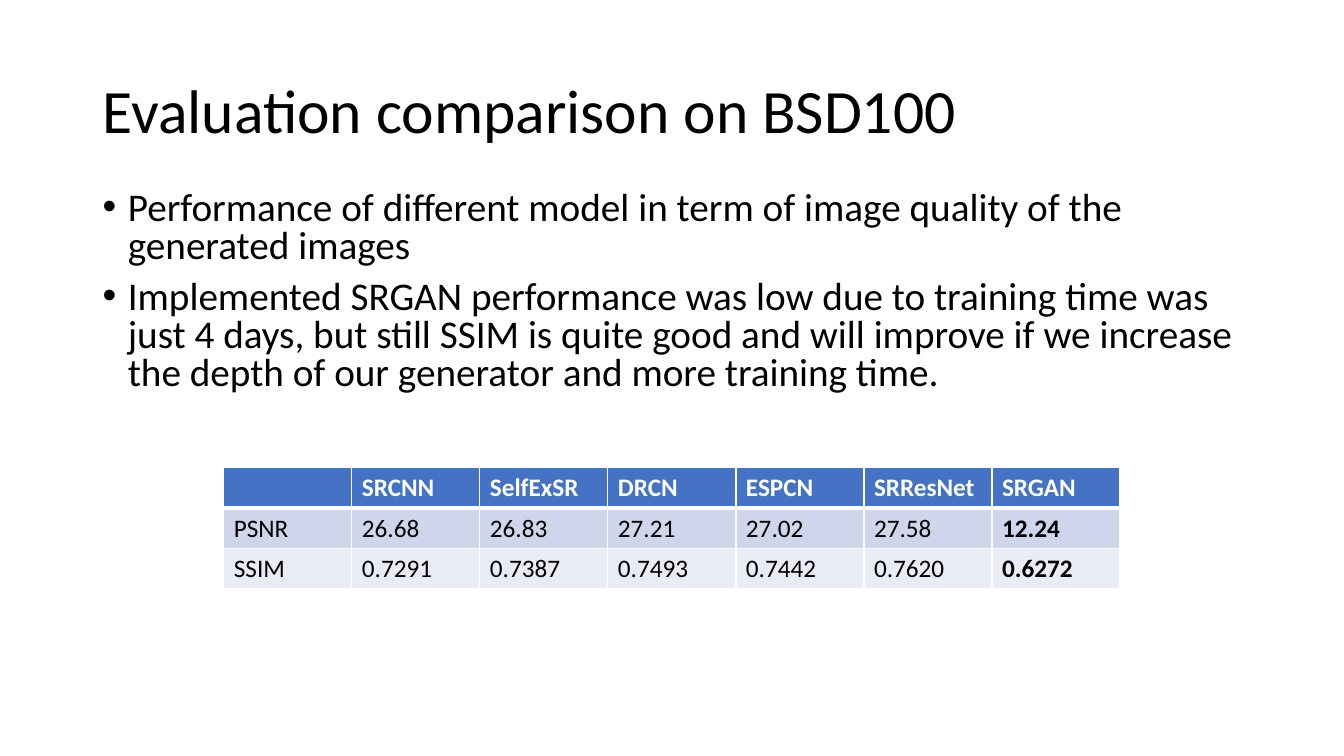
from lxml import etree
from pptx import Presentation
from pptx.dml.color import RGBColor
from pptx.enum.text import MSO_ANCHOR
from pptx.oxml.ns import qn
from pptx.util import Inches, Pt

MIDDLE = MSO_ANCHOR.MIDDLE
TOP = MSO_ANCHOR.TOP
COLORS = {"text": "000000", "white": "FFFFFF", "head": "4472C4",
          "dark": "CFD5EA", "light": "E9EBF5"}
POINTS = [
    "Performance of different model in term of image quality of the generated images",
    "Implemented SRGAN performance was low due to training time was just 4 days, "
    "but still SSIM is quite good and will improve if we increase the depth of our "
    "generator and more training time.",
]
SCORES = [
    ["", "SRCNN", "SelfExSR", "DRCN", "ESPCN", "SRResNet", "SRGAN"],
    ["PSNR", "26.68", "26.83", "27.21", "27.02", "27.58", "12.24"],
    ["SSIM", "0.7291", "0.7387", "0.7493", "0.7442", "0.7620", "0.6272"],
]


class Deck:
    font = "Calibri"

    def __init__(self, slide):
        self.slide = slide

    def style(self, para, size, color="text", bold=False):
        font = para.font
        font.name = self.font
        font.size = Pt(size)
        font.bold = bold
        font.color.rgb = RGBColor.from_string(COLORS[color])

    def box(self, left, top, width, height, anchor):
        shape = self.slide.shapes.add_textbox(
            Inches(left), Inches(top), Inches(width), Inches(height))
        frame = shape.text_frame
        frame.word_wrap = True
        frame.vertical_anchor = anchor
        return frame

    def title(self, text, *place):
        para = self.box(*place, MIDDLE).paragraphs[0]
        para.text = text
        para.line_spacing = 0.9
        self.style(para, 44)

    def bullets(self, items, *place):
        frame = self.box(*place, TOP)
        for i, item in enumerate(items):
            para = frame.add_paragraph() if i else frame.paragraphs[0]
            para.text = item
            para.line_spacing = 0.8
            if i:
                para.space_before = Pt(10)
            props = para._p.get_or_add_pPr()
            props.set("marL", str(Inches(0.25)))
            props.set("indent", str(-Inches(0.25)))
            etree.SubElement(props, qn("a:buFont"), typeface="Arial")
            etree.SubElement(props, qn("a:buChar"), char="•")
            self.style(para, 28)

    def border(self, cell, widths):
        props = cell._tc.get_or_add_tcPr()
        for side, width in zip("LRTB", widths):
            line = etree.SubElement(props, qn("a:ln" + side), w=str(Pt(width)))
            fill = etree.SubElement(line, qn("a:solidFill"))
            etree.SubElement(fill, qn("a:srgbClr"), val=COLORS["white"])

    def table(self, rows, left, top, wide, high):
        count = len(rows[0])
        grid = self.slide.shapes.add_table(
            len(rows), count, Inches(left), Inches(top),
            Inches(wide * count), Inches(high * len(rows))).table
        fills = ["head", "dark", "light"]
        for r, row in enumerate(rows):
            for c, text in enumerate(row):
                cell = grid.cell(r, c)
                cell.text = text
                head = r == 0
                self.border(cell, (1, 1, 3 if r == 1 else 1, 3 if head else 1))
                cell.fill.solid()
                cell.fill.fore_color.rgb = RGBColor.from_string(COLORS[fills[r]])
                self.style(cell.text_frame.paragraphs[0], 18,
                           "white" if head else "text", head or c == count - 1)


def main():
    show = Presentation()
    show.slide_width = Inches(13.33)
    show.slide_height = Inches(7.5)
    deck = Deck(show.slides.add_slide(show.slide_layouts[6]))
    deck.title("Evaluation comparison on BSD100", 0.92, 0.4, 11.5, 1.45)
    deck.table(SCORES, 2.22, 4.64, 1.27, 0.4)
    deck.bullets(POINTS, 0.92, 1.85, 11.5, 2.22)
    show.save("out.pptx")


if __name__ == "__main__":
    main()
